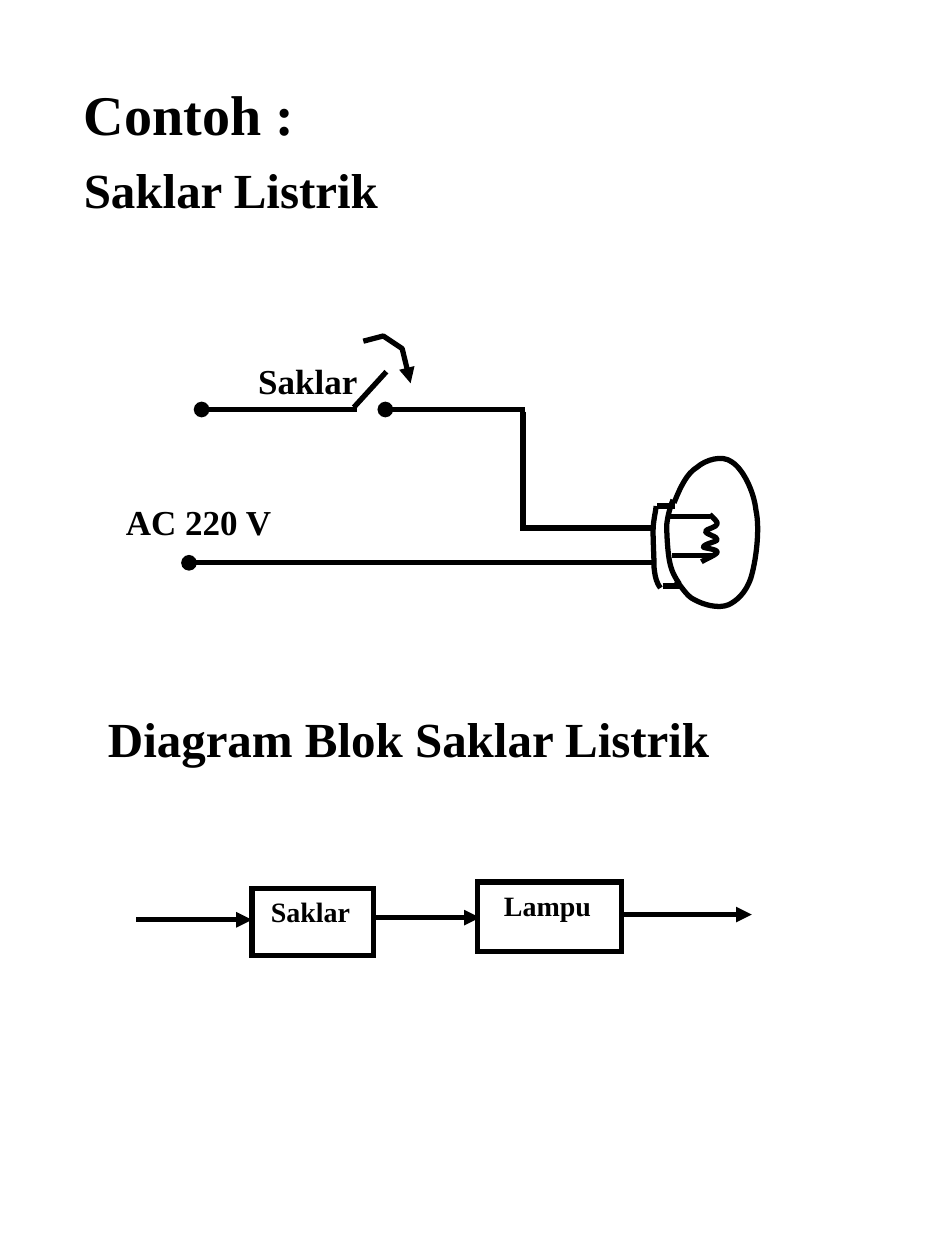
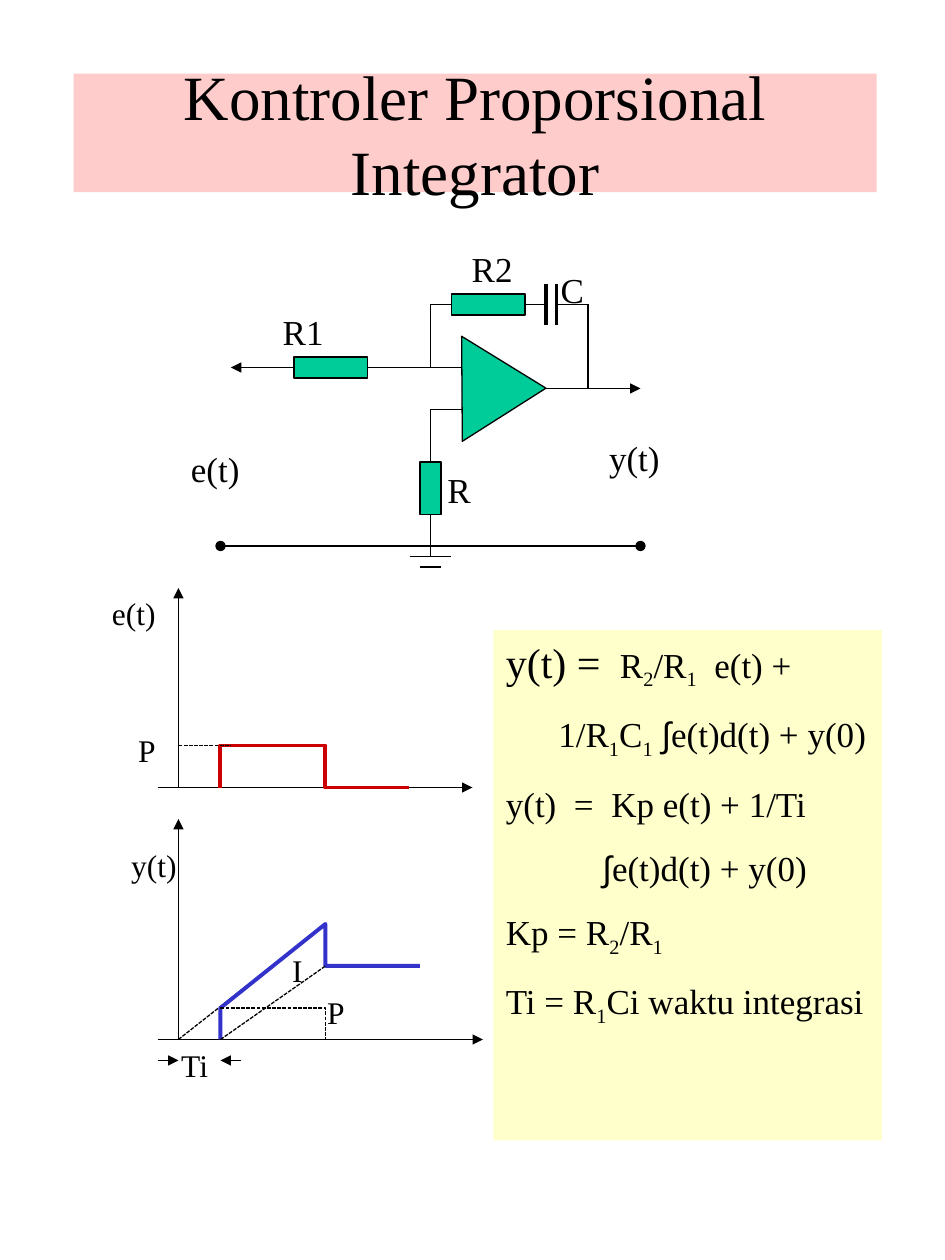
"""Build two slides: an electric switch example and a proportional-integral controller."""
from lxml import etree
from pptx import Presentation
from pptx.dml.color import RGBColor
from pptx.enum.dml import MSO_LINE
from pptx.enum.shapes import MSO_CONNECTOR, MSO_SHAPE
from pptx.enum.text import MSO_ANCHOR, MSO_AUTO_SIZE, PP_ALIGN
from pptx.oxml.ns import qn
from pptx.util import Inches, Pt

BLACK = RGBColor(0x00, 0x00, 0x00)
WHITE = RGBColor(0xFF, 0xFF, 0xFF)
PINK = RGBColor(0xFF, 0xCC, 0xCC)
YELLOW = RGBColor(0xFF, 0xFF, 0xCC)
GREEN = RGBColor(0x00, 0xCC, 0x99)
RED = RGBColor(0xCC, 0x00, 0x00)
BLUE = RGBColor(0x33, 0x33, 0xCC)
SERIF = "Times New Roman"
SANS = "Arial"
RECTANGLE = MSO_SHAPE.RECTANGLE
TRIANGLE = MSO_SHAPE.ISOSCELES_TRIANGLE
STRAIGHT = MSO_CONNECTOR.STRAIGHT
DOTTED = MSO_LINE.SQUARE_DOT
LEFT, CENTER, RIGHT = PP_ALIGN.LEFT, PP_ALIGN.CENTER, PP_ALIGN.RIGHT
TOP, MIDDLE = MSO_ANCHOR.TOP, MSO_ANCHOR.MIDDLE
NO_AUTOFIT = MSO_AUTO_SIZE.NONE
COLUMNS, ROWS = 90, 120
CELL = Inches(7.5) // COLUMNS
THICK, MEDIUM, THIN = 3, 2.25, 0.75


def draw_path(slide, points, weight, color=BLACK, head=None, tail=None, dash=None, curved=False):
    """Draw a connector for two grid points, or an open outline for more."""
    corners = [(round(x * CELL), round(y * CELL)) for x, y in points]
    if len(corners) == 2:
        path = slide.shapes.add_connector(STRAIGHT, *corners[0], *corners[1])
        etree.SubElement(path._element.spPr, qn("a:effectLst"))
    else:
        builder = slide.shapes.build_freeform(*corners[0], scale=1.0)
        builder.add_line_segments(corners[1:], close=False)
        path = builder.convert_to_shape()
        path.shadow.inherit = False
        path.fill.background()
    if curved:
        segments = list(path._element.iter(qn("a:lnTo")))
        track = segments[0].getparent()
        for first in range(0, len(segments), 3):
            bezier = etree.SubElement(track, qn("a:cubicBezTo"))
            for segment in segments[first:first + 3]:
                bezier.append(segment[0])
                track.remove(segment)
    path.line.color.rgb = color
    path.line.width = Pt(weight)
    if dash:
        path.line.dash_style = dash
    outline = path._element.spPr.find(qn("a:ln"))
    for tag, end in (("a:headEnd", head), ("a:tailEnd", tail)):
        if end:
            etree.SubElement(outline, qn(tag), type=end)


def write(paragraph, runs, size, align=LEFT, before=0, indent=0, bold=False):
    """Fill a paragraph run by run; a run is a text and its optional style."""
    properties = paragraph._p.get_or_add_pPr()
    properties.set("marL", str(round(indent * CELL)))
    properties.set("indent", "0")
    etree.SubElement(properties, qn("a:buNone"))
    paragraph.alignment = align
    paragraph.space_before = Pt(before)
    for text, *style in runs:
        run = paragraph.add_run()
        run.text = text
        run.font.name = SANS if "sans" in style else SERIF
        run.font.size = Pt(24 if "large" in style else size)
        run.font.bold = bold
        run.font.color.rgb = BLACK
        if "sub" in style:
            run.font._element.set("baseline", "-25000")
        if "wide" in style:
            run.font._element.set("spc", "500")


presentation = Presentation()
presentation.slide_width = CELL * COLUMNS
presentation.slide_height = CELL * ROWS
title_only = presentation.slide_layouts[5]
title_and_body = presentation.slide_layouts[1]

# Slide 1
slide = presentation.slides.add_slide(title_and_body)
title = slide.shapes.title
title._element.getparent().remove(title._element)
body = slide.placeholders[1]
body.left, body.top, body.width, body.height = (
    round(cells * CELL) for cells in (6.78, 7, 76.4, 99.7))
frame = body.text_frame
frame.auto_size = NO_AUTOFIT
headings = [
    ("Contoh :", 32, 0, 0),
    ("Saklar Listrik", 28, 7, 0),
    ("Saklar", 20, 80.5, 16.6),
    ("AC 220 V", 20, 57, 4),
    ("Diagram Blok Saklar Listrik", 28, 94.5, 2.3),
]
for number, (text, size, before, indent) in enumerate(headings):
    paragraph = frame.add_paragraph() if number else frame.paragraphs[0]
    write(paragraph, [(text,)], size, before=before, indent=indent, bold=True)

switch_wires = [
    ((19.2, 39), (34, 39), "oval"),
    ((33.7, 38.8), (36.8, 35.4), None),
    ((36.7, 39), (50, 39), "oval"),
    ((49.8, 39.2), (49.8, 50.6), None),
    ((18, 53.6), (62.3, 53.6), "oval"),
    ((49.7, 50.3), (62.2, 50.3), None),
    ((62.6, 48.2), (64.3, 48.2), None),
    ((63.1, 55.8), (64.8, 55.8), None),
    ((63.7, 49.2), (67.6, 49.2), None),
    ((64, 52.9), (67.8, 52.9), None),
]
for start, end, head in switch_wires:
    draw_path(slide, [start, end], THICK, head=head)
draw_path(slide, [(34.6, 32.5), (36.5, 32), (38.3, 33.2), (39.1, 36.5)], THICK, tail="triangle")

socket = [(62.5, 48.2), (62.4, 49), (62.2, 49.7), (62.2, 50.6), (62.2, 51.6),
          (62.3, 53.3), (62.3, 54.1), (62.4, 55.1), (62.6, 55.6), (62.9, 56)]
bulb = [(64.2, 47.9), (64.8, 46.4), (65.4, 45.1), (66.4, 44.5), (67.2, 43.8),
        (68.8, 43.3), (69.7, 44), (70.7, 44.6), (71.8, 46.7), (72, 48.6),
        (72.4, 50.4), (72, 53.5), (71.5, 55.1), (71, 56.5), (70.2, 57.2),
        (69.4, 57.6), (68.4, 58), (67, 57.6), (66.1, 57.1), (65.4, 56.8),
        (64.8, 55.7), (64.4, 55.3)]
neck = [(64.1, 47.6), (63.8, 48.4), (63.6, 49.1), (63.5, 50), (63.5, 51),
        (63.6, 52.7), (63.8, 53.6), (64, 54.5), (64.3, 55), (64.7, 55.6)]
filament = [(67.6, 49), (67.9, 49.3), (68.4, 49.7), (68.3, 49.9), (68.3, 50.2),
            (67.2, 50.4), (67.2, 50.6), (67.2, 50.9), (68.4, 51.1), (68.3, 51.4),
            (68.3, 51.6), (67, 51.8), (67, 52.1), (67, 52.2), (68.4, 52.3),
            (68.3, 52.6), (68.3, 52.8), (67.1, 53.3), (66.8, 53.5)]
for controls in (socket, bulb, neck, filament):
    draw_path(slide, controls, THICK, curved=True)

for text, box, inset in (("Saklar", (24, 84.6, 11.6, 6.4), 1.8),
                         ("Lampu", (45.5, 84, 13.7, 6.6), 2.5)):
    block = slide.shapes.add_shape(RECTANGLE, *(round(cells * CELL) for cells in box))
    block.shadow.inherit = False
    block.fill.solid()
    block.fill.fore_color.rgb = WHITE
    block.line.color.rgb = BLACK
    block.line.width = Pt(THICK)
    etree.SubElement(block._element.spPr.find(qn("a:ln")), qn("a:miter"), lim="800000")
    block.text_frame.vertical_anchor = TOP
    block.text_frame.margin_left = round(inset * CELL)
    write(block.text_frame.paragraphs[0], [(text,)], 16, bold=True)
for left, right, y in ((13, 24, 87.6), (35.6, 45.7, 87.4), (59.2, 71.6, 87.1)):
    draw_path(slide, [(left, y), (right, y)], THICK, tail="triangle")

# Slide 2
slide = presentation.slides.add_slide(title_only)
title = slide.shapes.title
title.left, title.top, title.width, title.height = (
    round(cells * CELL) for cells in (7, 7, 76.5, 11.3))
title.fill.solid()
title.fill.fore_color.rgb = PINK
title.text_frame.auto_size = NO_AUTOFIT
title.text_frame.vertical_anchor = MIDDLE
write(title.text_frame.paragraphs[0], [("Kontroler Proporsional Integrator",)], 36, CENTER)

circuit_wires = [
    ((22, 35), (31, 35), "triangle", None),
    ((35, 35), (37, 35), None, None),
    ((36, 35), (39, 35), None, None),
    ((38, 35), (44, 35), None, None),
    ((41, 35), (41, 29), None, None),
    ((41, 29), (47, 29), None, None),
    ((50, 29), (52, 29), None, None),
    ((53, 29), (54, 29), None, None),
    ((54, 29), (56, 29), None, None),
    ((56, 37), (56, 29), None, None),
    ((52, 37), (61, 37), None, "triangle"),
    ((44, 39), (41, 39), None, None),
    ((41, 39), (41, 44), None, None),
    ((41, 49), (41, 53), None, None),
    ((21, 52), (61, 52), "oval", "oval"),
    ((39, 53), (43, 53), None, None),
    ((40, 54), (42, 54), None, None),
    ((41, 55), (41, 55), None, None),
]
for start, end, head, tail in circuit_wires:
    draw_path(slide, [start, end], THIN, head=head, tail=tail)
for x in (52, 53):
    draw_path(slide, [(x, 27), (x, 31)], MEDIUM)

components = [
    (RECTANGLE, (28, 34, 7, 2), 0),
    (TRIANGLE, (43, 33, 10, 8), 89.6),
    (RECTANGLE, (43, 28, 7, 2), 0),
    (RECTANGLE, (40, 44, 2, 5), 0),
]
for kind, box, rotation in components:
    component = slide.shapes.add_shape(kind, *(cells * CELL for cells in box))
    component.shadow.inherit = False
    component.rotation = rotation
    component.fill.solid()
    component.fill.fore_color.rgb = GREEN
    component.line.color.rgb = BLACK
    component.line.width = Pt(THIN)

graph_arrows = [
    ((17, 75), (17, 56)), ((15, 75), (45, 75)),
    ((17, 99), (17, 78)), ((15, 99), (46, 99)),
    ((15, 101), (17, 101)), ((23, 101), (21, 101)),
]
for start, end in graph_arrows:
    draw_path(slide, [start, end], THIN, tail="triangle")
curves = [
    ([(21, 75), (21, 71), (31, 71), (31, 75), (38, 75), (39, 75)], MEDIUM, RED, None),
    ([(17, 99), (31, 88), (31, 92), (40, 92)], THIN, BLACK, DOTTED),
    ([(21, 99), (21, 96), (31, 88), (31, 92), (40, 92)], MEDIUM, BLUE, None),
    ([(21, 96), (31, 96), (31, 99), (39, 99)], THIN, BLACK, DOTTED),
    ([(21, 99), (31, 92)], THIN, BLACK, DOTTED),
    ([(17, 71), (22, 71)], THIN, BLACK, DOTTED),
]
for points, weight, color, dash in curves:
    draw_path(slide, points, weight, color, dash=dash)

labels = [
    ("R", 37, 44, 9, 20, RIGHT), ("R1", 23, 29, 9, 20, RIGHT),
    ("e(t)", 15, 42, 9, 20, RIGHT), ("y(t)", 55, 41, 9, 20, RIGHT),
    ("C", 50, 25, 9, 20, CENTER), ("R2", 41, 23, 9, 20, RIGHT),
    ("Ti", 15, 99, 6, 18, RIGHT), ("P", 28, 94, 6, 18, RIGHT),
    ("I", 24, 90, 6, 18, RIGHT), ("e(t)", 9, 56, 7, 18, RIGHT),
    ("y(t)", 9, 80, 9, 18, RIGHT), ("P", 10, 69, 6, 18, RIGHT),
]
for text, left, top, width, size, align in labels:
    label = slide.shapes.add_textbox(left * CELL, top * CELL, width * CELL, 5 * CELL)
    label.text_frame.word_wrap = True
    write(label.text_frame.paragraphs[0], [(text,)], size, align)

panel = slide.shapes.add_shape(RECTANGLE, *(round(cells * CELL) for cells in (47, 60, 37, 48.6)))
panel.shadow.inherit = False
panel.fill.solid()
panel.fill.fore_color.rgb = YELLOW
panel.line.fill.background()
panel.text_frame.vertical_anchor = TOP
formulas = [
    (0, [("y(t) =", "large"), (" ", "large", "wide"), ("R",), ("2", "sub"), ("/R",),
         ("1", "sub"), (" ", "wide"), ("e(t) +",)]),
    (5, [("1/R",), ("1", "sub"), ("C",), ("1", "sub"), (" ",), ("∫", "sans"),
         ("e(t)d(t) + y(0)",)]),
    (0, [("y(t)",), (" ", "wide"), ("=",), (" ", "wide"), ("Kp e(t) + 1/Ti",)]),
    (9.2, [("∫", "sans"), ("e(t)d(t) + y(0)",)]),
    (0, [("Kp = R",), ("2", "sub"), ("/R",), ("1", "sub")]),
    (0, [("Ti = R",), ("1", "sub"), ("Ci waktu integrasi",)]),
]
for number, (indent, runs) in enumerate(formulas):
    paragraph = panel.text_frame.add_paragraph() if number else panel.text_frame.paragraphs[0]
    write(paragraph, runs, 20, before=12.5 if number else 0, indent=indent)

presentation.save("out.pptx")
